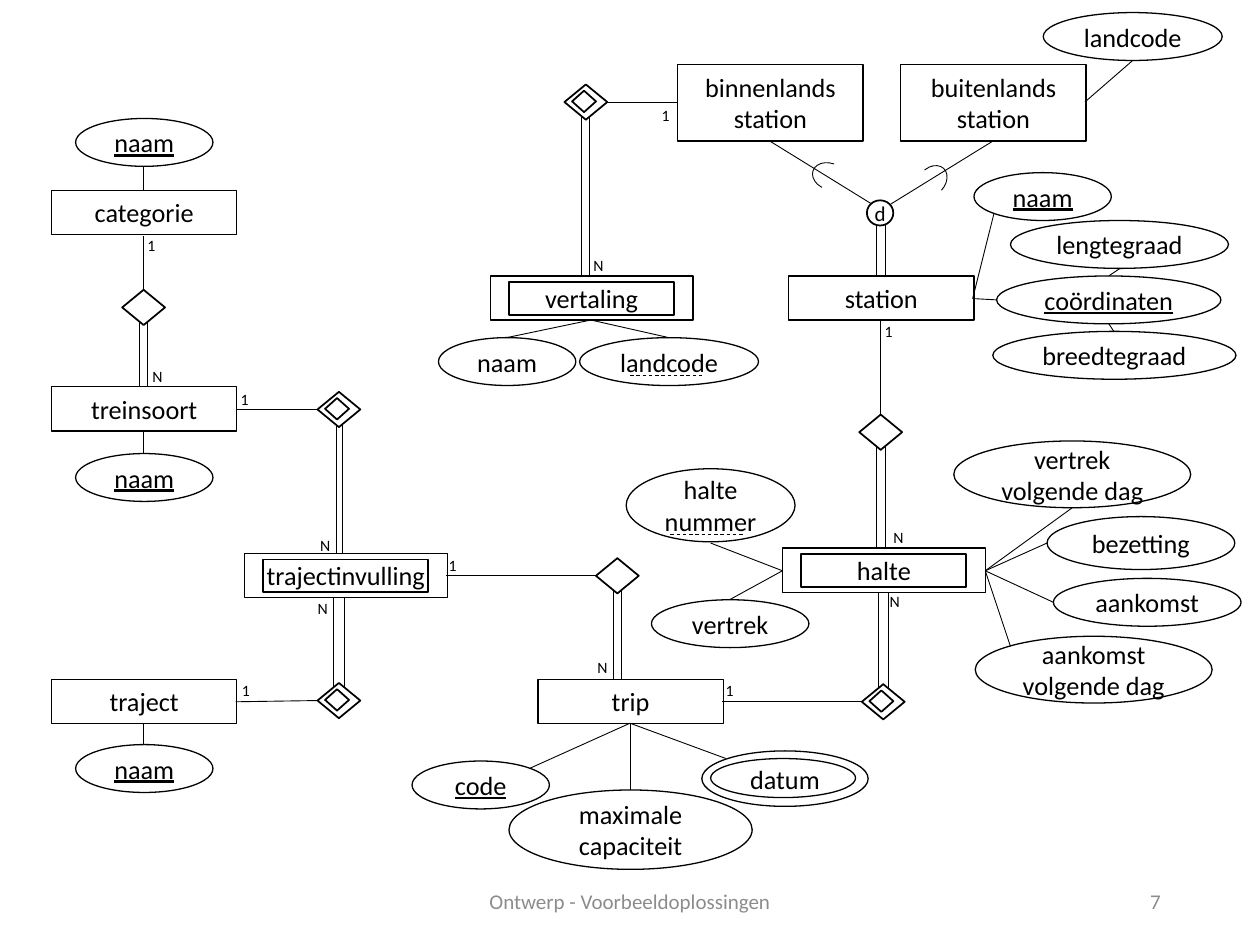
from lxml.etree import SubElement
from pptx import Presentation
from pptx.dml.color import RGBColor
from pptx.enum.dml import MSO_LINE
from pptx.enum.shapes import MSO_CONNECTOR as Link, MSO_SHAPE as Kind
from pptx.enum.text import MSO_ANCHOR as Anchor, PP_ALIGN as Align
from pptx.oxml.ns import qn
from pptx.util import Inches, Pt


def color(code):
    return RGBColor.from_string(code)


class Page:
    """Style and slide; lengths are cells of a grid of 100 by 75."""
    font, ink, white, gray = "Calibri", "000000", "FFFFFF", "8C8C8C"
    thin, mid, bold = 0.5, 0.75, 1

    def __init__(self, deck):
        self.slide = deck.slides.add_slide(deck.slide_layouts[6])
        self.cell = deck.slide_width / 100

    def cells(self, *values):
        return [round(v * self.cell) for v in values]

    def label(self, item, text, size=15, ink=ink, align=Align.CENTER,
              under=False, side=0.05):
        frame = item.text_frame
        frame.word_wrap = True
        frame.vertical_anchor = Anchor.MIDDLE
        frame.margin_left = frame.margin_right = Inches(side)
        frame.text = text
        for para in frame.paragraphs:
            para.alignment = align
            font = para.font
            font.name, font.size = self.font, Pt(size)
            font.color.rgb = color(ink)
            if under:
                font.underline = True

    def shape(self, kind, x, y, w, h, line=mid, fill=None):
        item = self.slide.shapes.add_shape(kind, *self.cells(x, y, w, h))
        item.shadow.inherit = False
        if fill:
            item.fill.solid()
            item.fill.fore_color.rgb = color(fill)
        else:
            item.fill.background()
        item.line.width = Pt(line)
        item.line.color.rgb = color(self.ink)
        return item

    def entity(self, text, x, y, h=3.5, weak=False):
        w = 16.1 if weak else 14.7
        self.label(self.shape(Kind.RECTANGLE, x, y, w, h), text)
        if weak:
            self.shape(Kind.RECTANGLE, x + 1.5, y + 0.5, 13.1, 2.6, self.bold)

    def field(self, text, x, y, w=10.9, h=3.8, key=False):
        item = self.shape(Kind.OVAL, x, y, w, h, fill=self.white)
        self.label(item, text, under=key)

    def bond(self, x, y, weak=False):
        self.shape(Kind.DIAMOND, x, y, 3.4, 2.8, self.bold)
        if weak:
            self.shape(Kind.DIAMOND, x + 0.6, y + 0.5, 1.9, 1.7, self.bold)

    def arc(self, x, y, turn):
        item = self.shape(Kind.ARC, x, y, 2.1, 2.8, self.thin)
        item.adjustments[0] = 117.56
        item.adjustments[1] = 0
        item.rotation = turn

    def line(self, x1, y1, x2, y2, dash=False):
        item = self.slide.shapes.add_connector(
            Link.STRAIGHT, *self.cells(x1, y1, x2, y2))
        item.line.width = Pt(self.thin)
        item.line.color.rgb = color(self.ink)
        if dash:
            item.line.dash_style = MSO_LINE.DASH
        SubElement(item._element.spPr, qn("a:effectLst"))

    def pair(self, left, right, top, end):
        for x in (left, right):
            self.line(x, top, x, end)

    def text(self, text, x, y, w, h, **look):
        box = self.slide.shapes.add_textbox(*self.cells(x, y, w, h))
        self.label(box, text, **look)

    def mark(self, text, x, y):
        self.text(text, x + 0.8, y, 1.9, 2.5, size=9, align=Align.LEFT, side=0)


def build(page):
    # Entities; weak ones have a double frame
    for name, x, y in [("station", 62.6, 21.9), ("categorie", 4.1, 15.1),
                       ("treinsoort", 4.1, 30.7), ("traject", 4.1, 53.9),
                       ("trip", 42.7, 53.9)]:
        page.entity(name, x, y)
    for name, x in [("buitenlands station", 71.5), ("binnenlands station", 53.8)]:
        page.entity(name, x, 5.1, 6.1)
    for name, x, y in [("vertaling", 38.9, 21.9), ("trajectinvulling", 19.4, 43.9),
                       ("halte", 62.1, 43.5)]:
        page.entity(name, x, y, weak=True)

    # Attributes; keys are underlined
    for name, x, y in [("naam", 77.3, 13.7), ("naam", 6, 9.4), ("naam", 6, 36),
                       ("naam", 6, 59.1), ("code", 32.7, 60.4)]:
        page.field(name, x, y, key=True)
    page.field("coördinaten", 79.1, 21.9, 17.8, key=True)
    for name, *place in [
            ("lengtegraad", 80.2, 17.5, 17.3), ("breedtegraad", 78.8, 26.3, 19.3),
            ("landcode", 82.8, 1, 14.2), ("naam", 34.8, 26.8),
            ("landcode", 46, 26.8, 14.2),
            ("maximale capaciteit", 40.4, 62.7, 19.3, 6.3),
            ("datum", 55.7, 59.6, 13.2, 4.4),
            ("halte\nnummer", 49.7, 37.2, 13.4, 5.8), ("vertrek", 51.7, 47.6, 12.5),
            ("aankomst", 83.6, 45.9, 14.9),
            ("aankomst volgende dag", 77.4, 50.5, 18.8, 5.3),
            ("vertrek volgende dag", 75.7, 35, 18.8, 5.3),
            ("bezetting", 83.1, 41, 14.9, 4.2)]:
        page.field(name, *place)
    page.shape(Kind.OVAL, 56.4, 60.2, 11.5, 3.1)

    # Relations; identifying ones are double
    for x, y in [(9.7, 23), (47.3, 44.3), (68.2, 32.9)]:
        page.bond(x, y)
    for x, y in [(44.8, 6.7), (25.2, 31.1), (25.2, 54.2), (68.4, 54.3)]:
        page.bond(x, y, weak=True)

    # Disjoint subclasses
    page.label(page.shape(Kind.OVAL, 68.8, 15.9, 2.1, 2, page.bold), "d", 12, side=0)
    page.arc(64.8, 12.6, 289.3)
    page.arc(72.9, 13, 42.3)

    # Single lines: to attributes, then to relations
    for ends in [
            (78.9, 16.9, 77.2, 23.7), (79.1, 23.8, 77.2, 23.7),
            (88.9, 21.3, 88, 21.9), (88, 25.7, 88.4, 26.3),
            (89.9, 4.8, 86.1, 8.1), (40.2, 26.8, 46.9, 25.4),
            (46.9, 25.4, 53.1, 26.8), (11.4, 13.2, 11.4, 15.1),
            (11.4, 36, 11.4, 34.3), (11.4, 59.1, 11.4, 57.4),
            (50, 57.4, 42, 61), (57.6, 60.2, 50, 57.4), (50, 62.7, 50, 57.4),
            (56.4, 43.1, 62.1, 45.3), (62.1, 45.3, 57.9, 47.6),
            (85.1, 40.3, 78.2, 45.3), (83.1, 43.1, 78.2, 45.3),
            (83.6, 47.8, 78.2, 45.3), (80.2, 51.3, 78.2, 45.3),
            (78.8, 11.2, 70.7, 16.2), (61.1, 11.2, 69.2, 16.2),
            (53.8, 8.1, 48.1, 8.1), (11.4, 23, 11.4, 18.7),
            (18.7, 32.5, 25.2, 32.5), (18.7, 55.7, 25.2, 55.6),
            (35.4, 45.7, 47.3, 45.7), (57.3, 55.7, 68.4, 55.7),
            (69.9, 32.9, 69.9, 25.4)]:
        page.line(*ends)

    # Double lines: total participation
    for ends in [(69.6, 70.3, 17.8, 21.9), (46.15, 46.75, 9.3, 21.9),
                 (11.1, 11.7, 25.5, 30.6), (26.7, 27.2, 33.7, 43.9),
                 (26.5, 27.3, 47.4, 54.5), (48.7, 49.3, 46.8, 53.9),
                 (69.7, 70.5, 47, 54.6), (69.6, 70.3, 35.4, 43.5)]:
        page.pair(*ends)

    # Dashed underlines of partial keys
    page.line(50, 29.8, 55.9, 29.8, dash=True)
    page.line(53.2, 42.4, 59.1, 42.4, dash=True)

    # Cardinalities
    for sign, spots in {
            "1": [(51.7, 7.9), (10.9, 18.2), (18.3, 30.4), (18.4, 53.5),
                  (34.8, 43.6), (56.8, 53.5), (69.4, 25)],
            "N": [(46.3, 19.8), (11.3, 28.6), (24.6, 42), (24.4, 47),
                  (46.6, 51.7), (69.8, 46.5), (70.1, 41.4)]}.items():
        for spot in spots:
            page.mark(sign, *spot)

    # Footer
    foot = dict(size=12, ink=page.gray, side=0.1)
    page.text("Ontwerp - Voorbeeldoplossingen", 33.1, 69.5, 33.8, 4, **foot)
    page.text("7", 70.6, 69.5, 22.5, 4, align=Align.RIGHT, **foot)


def main():
    deck = Presentation()
    deck.slide_width, deck.slide_height = Inches(10), Inches(7.5)
    build(Page(deck))
    deck.save("out.pptx")


if __name__ == "__main__":
    main()
